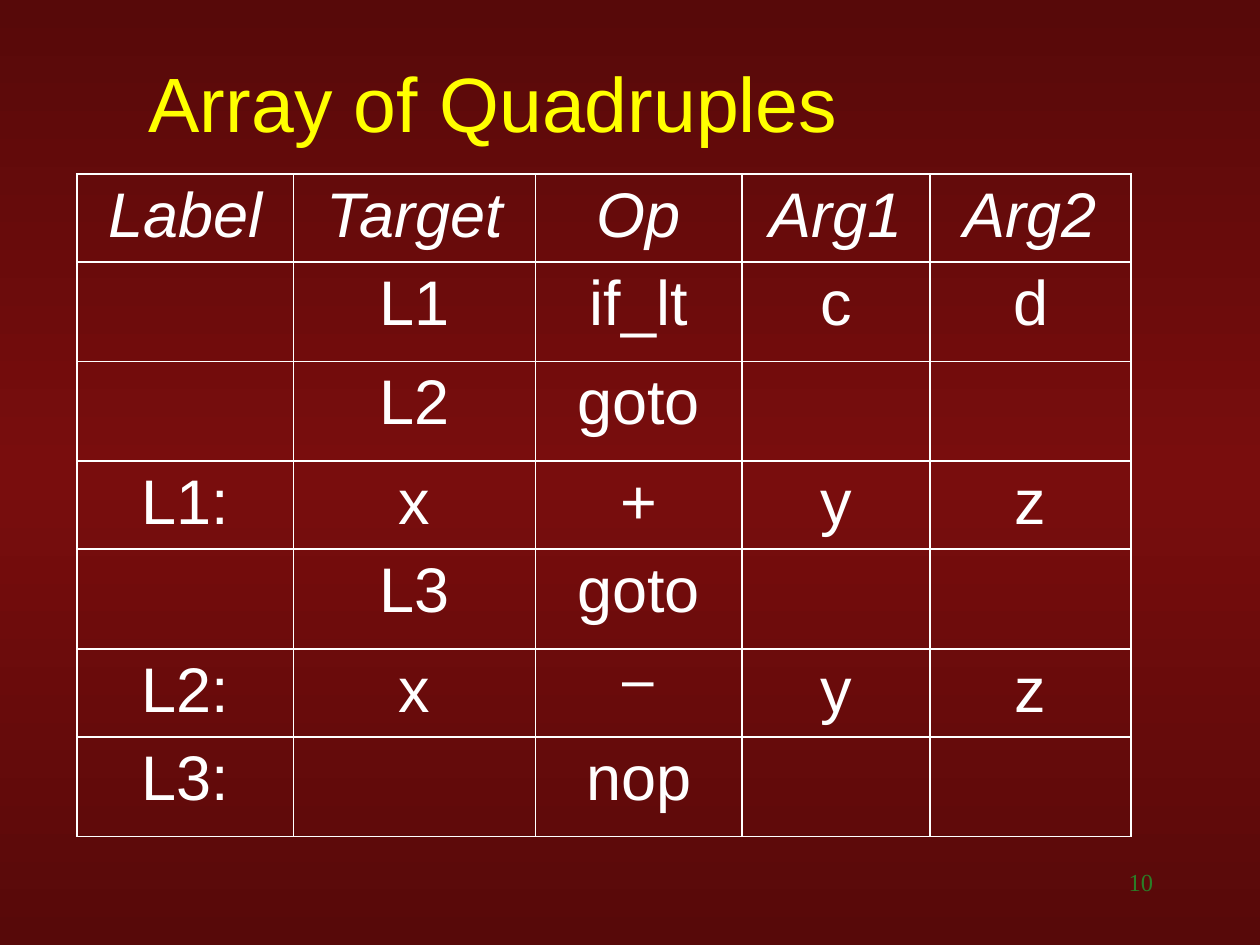
import copy

import pptx
import pptx.dml.color
import pptx.enum.text
import pptx.oxml
import pptx.oxml.ns
import pptx.util
from pptx.util import Inches

ALIGN = pptx.enum.text.PP_ALIGN
ANCHOR = pptx.enum.text.MSO_ANCHOR

HEADINGS = ["Label", "Target", "Op", "Arg1", "Arg2"]
QUADRUPLES = [
    ["", "L1", "if_lt", "c", "d"],
    ["", "L2", "goto", "", ""],
    ["L1:", "x", "+", "y", "z"],
    ["", "L3", "goto", "", ""],
    ["L2:", "x", "–", "y", "z"],
    ["L3:", "", "nop", "", ""],
]
COLUMN_WIDTHS = [1.72, 1.92, 1.64, 1.49, 1.6]
FULL_ROW, GAPPED_ROW = 0.7, 0.79


def rgb(value):
    return pptx.dml.color.RGBColor.from_string(value)


def add_run(paragraph, text, size, color, font="Arial", italic=False):
    run = paragraph.add_run()
    run.text = text
    run.font.size = pptx.util.Pt(size)
    run.font.name = font
    run.font.italic = italic
    run.font.color.rgb = rgb(color)


def set_background(slide, edge, middle):
    """Vertical gradient that is lightest halfway down."""
    fill = slide.background.fill
    fill.gradient()
    fill.gradient_angle = 90
    first = fill.gradient_stops[0]._gs
    first.addnext(copy.deepcopy(first))
    for stop, position, color in zip(fill.gradient_stops, (0, 0.5, 1), (edge, middle, edge)):
        stop.position = position
        stop.color.rgb = rgb(color)


def place_title(slide, left, top, width, height):
    title = slide.shapes.title
    title.left, title.top, title.width, title.height = left, top, width, height
    frame = title.text_frame
    frame.vertical_anchor = ANCHOR.MIDDLE
    frame.auto_size = pptx.enum.text.MSO_AUTO_SIZE.NONE
    paragraph = frame.paragraphs[0]
    paragraph.alignment = ALIGN.LEFT
    paragraph.line_spacing = 0.75
    add_run(paragraph, "Array of Quadruples", 44, "FFFF00")


def set_borders(cell, color, width):
    properties = cell._tc.get_or_add_tcPr()
    for index, side in enumerate("LRTB"):
        properties.insert(index, pptx.oxml.parse_xml(
            f'<a:ln{side} {pptx.oxml.ns.nsdecls("a")} w="{pptx.util.Pt(width)}">'
            f'<a:solidFill><a:srgbClr val="{color}"/></a:solidFill></a:ln{side}>'))


def add_quadruple_table(slide, left, top, width, height):
    rows = [HEADINGS] + QUADRUPLES
    table = slide.shapes.add_table(
        len(rows), len(HEADINGS), left, top, width, height).table
    table.first_row = table.horz_banding = False
    for column, column_width in zip(table.columns, COLUMN_WIDTHS):
        column.width = Inches(column_width)
    for row, texts in zip(table.rows, rows):
        row.height = Inches(FULL_ROW if all(texts) else GAPPED_ROW)
        for cell, text in zip(row.cells, texts):
            cell.fill.background()
            set_borders(cell, "FFFFFF", 1.08)
            if text:
                paragraph = cell.text_frame.paragraphs[0]
                paragraph.alignment = ALIGN.CENTER
                font = "TeX Gyre Adventor" if text == "–" else "Arial"
                add_run(paragraph, text, 36, "FFFFFF", font, italic=texts is HEADINGS)


def add_page_number(slide, left, top, width, height):
    frame = slide.shapes.add_textbox(left, top, width, height).text_frame
    frame.word_wrap = True
    paragraph = frame.paragraphs[0]
    paragraph.alignment = ALIGN.RIGHT
    add_run(paragraph, "10", 14, "2B7D27", "Times New Roman")


def main():
    deck = pptx.Presentation()
    deck.slide_width, deck.slide_height = Inches(10), Inches(7.5)
    slide = deck.slides.add_slide(deck.slide_layouts.get_by_name("Title Only"))
    set_background(slide, "570909", "790D0D")
    place_title(slide, Inches(1.08), Inches(0.53), Inches(8.58), Inches(0.72))
    add_quadruple_table(slide, Inches(0.61), Inches(1.38), Inches(8.37), Inches(5.26))
    add_page_number(slide, Inches(7.17), Inches(6.83), Inches(2.08), Inches(0.5))
    deck.save("out.pptx")


if __name__ == "__main__":
    main()
